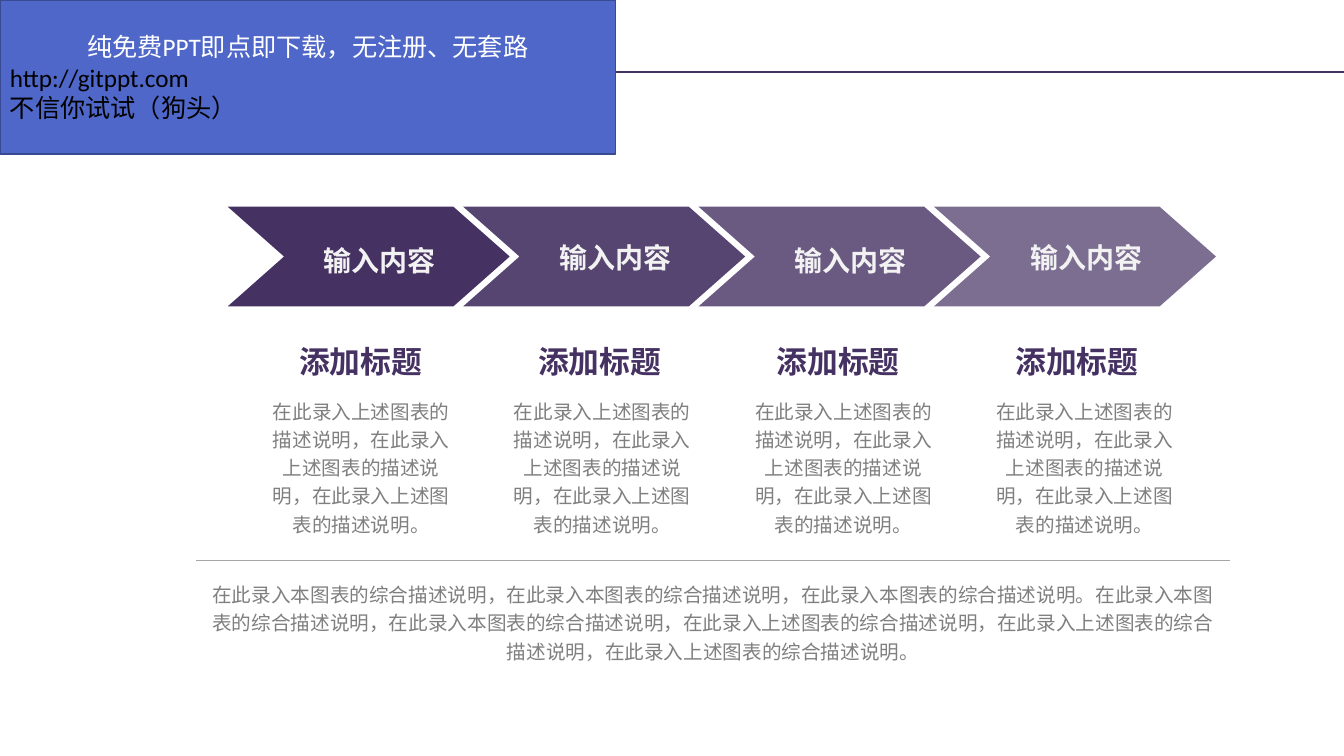
from lxml import etree
from pptx import Presentation
from pptx.dml.color import RGBColor
from pptx.enum.shapes import MSO_CONNECTOR, MSO_SHAPE
from pptx.enum.text import MSO_ANCHOR, PP_ALIGN
from pptx.oxml.ns import qn
from pptx.util import Inches, Pt

CHEVRON, RECTANGLE = MSO_SHAPE.CHEVRON, MSO_SHAPE.RECTANGLE
STRAIGHT = MSO_CONNECTOR.STRAIGHT
LEFT, CENTER = PP_ALIGN.LEFT, PP_ALIGN.CENTER
TOP, MIDDLE = MSO_ANCHOR.TOP, MSO_ANCHOR.MIDDLE

COLORS = {
    "purple": "453162",
    "label": "F2F2F2",
    "body": "7F7F7F",
    "divider": "A6A6A6",
    "panel": "4E67C8",
    "panel_edge": "374A92",
    "white": "FFFFFF",
    "black": "000000",
}
CJK_FONT = "Noto Sans CJK SC"

# (text, alignment, colour)
PANEL_LINES = [
    ("纯免费PPT即点即下载，无注册、无套路", CENTER, "white"),
    ("http://gitppt.com", LEFT, "black"),
    ("不信你试试（狗头）", LEFT, "black"),
]
# (arrow label, heading, description, opacity in percent)
DETAIL = "在此录入上述图表的描述说明，在此录入上述图表的描述说明，在此录入上述图表的描述说明。"
STEPS = [("输入内容", "添加标题", DETAIL, opacity) for opacity in (100, 90, 80, 70)]
SUMMARY = (
    "在此录入本图表的综合描述说明，在此录入本图表的综合描述说明，"
    "在此录入本图表的综合描述说明。在此录入本图表的综合描述说明，"
    "在此录入本图表的综合描述说明，在此录入上述图表的综合描述说明，"
    "在此录入上述图表的综合描述说明，在此录入上述图表的综合描述说明。"
)


def color(name):
    return RGBColor.from_string(COLORS[name])


def write(para, text, size, color_name, font=CJK_FONT, bold=False,
          spacing=1.0, alignment=CENTER):
    para.text = text
    para.alignment = alignment
    para.line_spacing = spacing
    para.font.name = font
    para.font.size = Pt(size)
    para.font.bold = bold
    para.font.color.rgb = color(color_name)
    # East Asian typeface, and punctuation kept inside the margins
    properties = para._p.get_or_add_pPr()
    properties.set("hangingPunct", "0")
    defaults = properties.find(qn("a:defRPr"))
    etree.SubElement(defaults, qn("a:ea")).set("typeface", CJK_FONT)


def add_text(page, box, text, size, color_name, anchor=TOP, wrap=True, **style):
    frame = page.shapes.add_textbox(*map(Inches, box)).text_frame
    frame.word_wrap = wrap
    frame.vertical_anchor = anchor
    write(frame.paragraphs[0], text, size, color_name, **style)


def add_line(page, left, right, top, color_name, width):
    line = page.shapes.add_connector(
        STRAIGHT, Inches(left), Inches(top), Inches(right), Inches(top))
    line.line.color.rgb = color(color_name)
    line.line.width = Pt(width)
    etree.SubElement(line._element.spPr, qn("a:effectLst"))


def add_header(page, left, top, width, height):
    """Blue panel of text with a rule running to the right edge of the page."""
    panel_width = 6.11
    add_line(page, left + panel_width, left + width, top + 0.71, "purple", 1.5)
    panel = page.shapes.add_shape(
        RECTANGLE, *map(Inches, (left, top, panel_width, height)))
    panel.shadow.inherit = False
    panel.fill.solid()
    panel.fill.fore_color.rgb = color("panel")
    panel.line.color.rgb = color("panel_edge")
    panel.line.width = Pt(1)
    frame = panel.text_frame
    frame.word_wrap = True
    frame.vertical_anchor = MIDDLE
    for index, (text, alignment, color_name) in enumerate(PANEL_LINES):
        para = frame.add_paragraph() if index else frame.paragraphs[0]
        write(para, text, 18, color_name, font="Calibri", alignment=alignment)


def add_arrows(page, left, top, width, height):
    """Row of chevrons that grow paler from left to right."""
    arrow_width, tip = 2.8, 0.56
    pitch = (width - arrow_width) / (len(STEPS) - 1)
    for index, (label, _, _, opacity) in enumerate(STEPS):
        x = left + index * pitch
        arrow = page.shapes.add_shape(
            CHEVRON, *map(Inches, (x, top, arrow_width, height)))
        arrow.adjustments[0] = tip / height
        arrow.shadow.inherit = False
        arrow.fill.solid()
        arrow.fill.fore_color.rgb = color("purple")
        arrow.line.fill.background()
        if opacity < 100:
            tint = arrow._element.spPr.find(qn("a:solidFill"))[0]
            etree.SubElement(tint, qn("a:alpha")).set("val", str(opacity * 1000))
        # Labels alternate between loose and single line spacing
        spacing = 1.0 if index % 2 else 1.2
        add_text(page, (x + 0.32, top + 0.25, 2.38, 0.5), label, 20, "label",
                 font="Arial", bold=True, spacing=spacing, anchor=MIDDLE)


def add_columns(page, left, top, width, height):
    """Heading and description below each arrow."""
    column_width, heading_width, heading_pitch = 2.07, 1.42, 2.37
    pitch = (width - column_width) / (len(STEPS) - 1)
    for index, (_, heading, detail, _) in enumerate(STEPS):
        add_text(page, (left + 0.32 + index * heading_pitch, top, heading_width, 0.47),
                 heading, 22, "purple", bold=True, wrap=False)
        add_text(page, (left + index * pitch, top + 0.52, column_width, height - 0.52),
                 detail, 14, "body", spacing=1.2)


def add_summary(page, left, top, width, height):
    """Divider with the closing paragraph below it."""
    add_line(page, left, left + width, top, "divider", 0.5)
    add_text(page, (left, top + 0.13, width, height - 0.13), SUMMARY, 14, "body",
             spacing=1.2)


def main():
    deck = Presentation()
    deck.slide_width, deck.slide_height = Inches(13.34), Inches(7.5)
    page = deck.slides.add_slide(deck.slide_layouts[6])
    add_arrows(page, 2.26, 2.05, 9.81, 0.99)
    add_columns(page, 2.55, 3.35, 9.25, 2.02)
    add_summary(page, 1.95, 5.56, 10.26, 1.07)
    add_header(page, 0, 0, 13.34, 1.53)
    deck.save("out.pptx")


if __name__ == "__main__":
    main()
